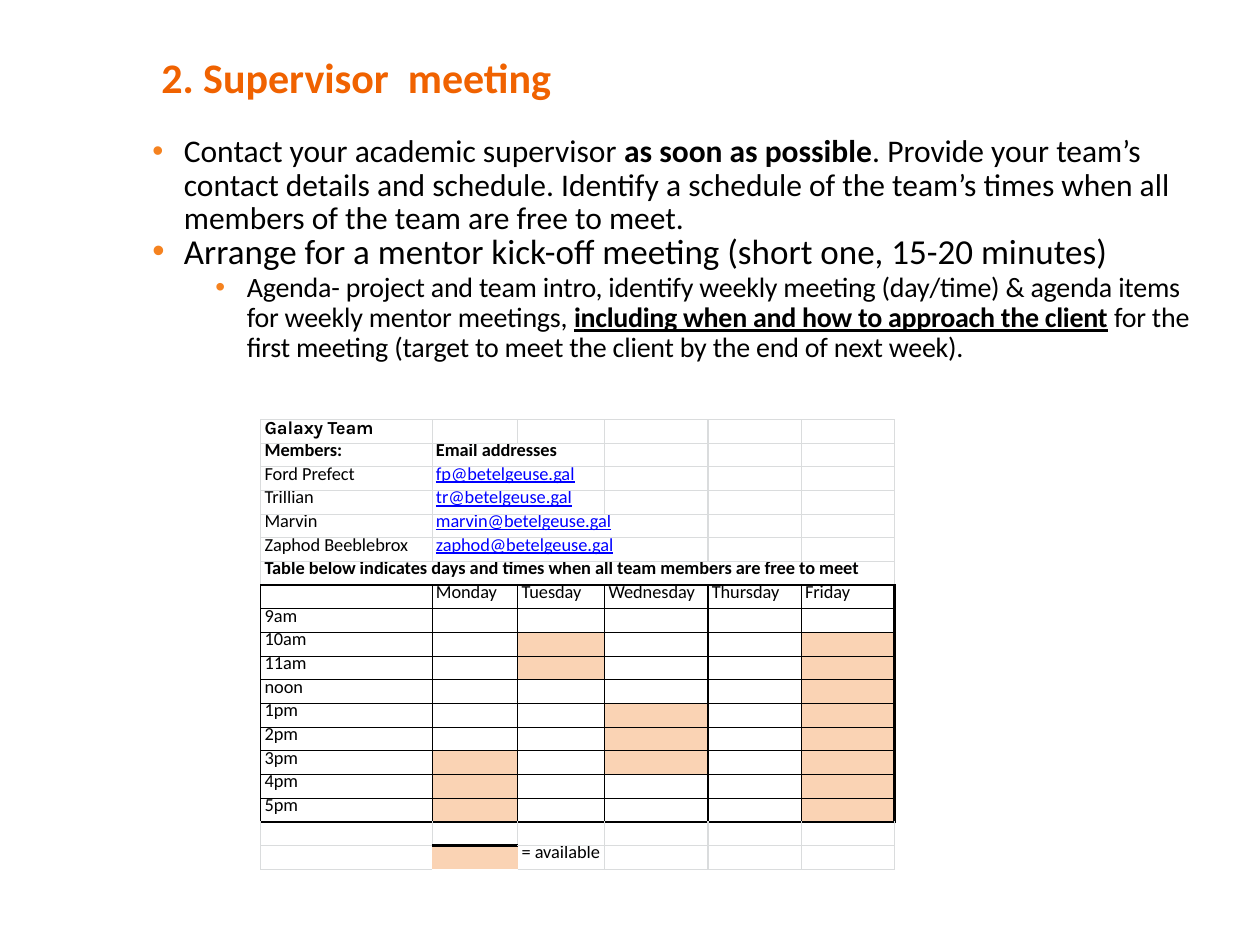
from lxml import etree
from pptx import Presentation
from pptx import util as u
from pptx.dml.color import RGBColor
from pptx.enum import text
from pptx.oxml.ns import qn

Inches, Pt = u.Inches, u.Pt
BLACK = RGBColor(0x00, 0x00, 0x00)
ORANGE = RGBColor(0xF0, 0x62, 0x00)
BULLET = RGBColor(0xF5, 0x82, 0x1F)
BLUE = RGBColor(0x00, 0x00, 0xFF)
GRID = RGBColor(0xDA, 0xDC, 0xDD)
PEACH = RGBColor(0xFA, 0xD3, 0xB4)


def add_run(p, words, size, color=BLACK, spacing=0, **font):
    r = p.add_run()
    r.text = words
    for name, value in {"name": "Calibri", "size": Pt(size), **font}.items():
        setattr(r.font, name, value)
    r.font.color.rgb = color
    if spacing:
        r._r.get_or_add_rPr().set("spc", str(spacing))


def add_border(cell, side, color, width):
    """Draw one side (L, R, T or B) of a cell; no color means no line."""
    ln = etree.SubElement(cell._tc.get_or_add_tcPr(), qn(f"a:ln{side}"), w=str(Pt(width)))
    if color is None:
        etree.SubElement(ln, qn("a:noFill"))
    else:
        fill = etree.SubElement(ln, qn("a:solidFill"))
        etree.SubElement(fill, qn("a:srgbClr"), val=str(color))


prs = Presentation()
prs.slide_width, prs.slide_height = Inches(10), Inches(7.5)
s = prs.slides.add_slide(prs.slide_layouts[5])

# Title
title = s.shapes.title
title.left, title.top, title.width, title.height = map(Inches, (1.28, 0.39, 3.63, 0.42))
body = s.shapes.add_textbox(Inches(1.2), Inches(0.98), Inches(8.37), Inches(1.87))
for sp, inset in ((title, 0.02), (body, 0.1)):
    frame = {"margin_left": 0, "margin_right": 0, "margin_bottom": 0,
             "margin_top": Inches(inset), "word_wrap": True,
             "vertical_anchor": text.MSO_ANCHOR.TOP,
             "auto_size": text.MSO_AUTO_SIZE.SHAPE_TO_FIT_TEXT}
    for name, value in frame.items():
        setattr(sp.text_frame, name, value)
p = title.text_frame.paragraphs[0]
p.alignment = text.PP_ALIGN.LEFT
add_run(p, "2. Supervisor  meeting", 24, ORANGE, bold=True)

# Bullets: level, size, line spacing, space before, letter spacing, (words, format) pieces
bullets = [
    (0, 18, Pt(19), 0, 0, [
        ("Contact your academic supervisor ", {}),
        ("as soon as possible", {"bold": True}),
        (". Provide your team’s contact details and schedule. Identify a schedule of "
         "the team’s times when all members of the team are free to meet.", {})]),
    (0, 20, Pt(20.2), 0, 0, [
        ("Arrange for a mentor kick-off meeting (short one, 15-20 minutes)", {})]),
    (1, 16, 0.88, 1.8, -10, [
        ("Agenda- project and team intro, identify weekly meeting (day/time) & agenda "
         "items for weekly mentor meetings, ", {}),
        ("including when and how to approach the client",
         {"bold": True, "underline": True, "spacing": -15}),
        (" for the first meeting (target to meet the client by the end of next week).", {})]),
]
tf = body.text_frame
for i, (level, size, line, before, spacing, pieces) in enumerate(bullets):
    p = tf.add_paragraph() if i else tf.paragraphs[0]
    p.level, p.line_spacing, p.space_before = level, line, Pt(before)
    pPr = p._p.get_or_add_pPr()
    pPr.set("marL", str(Inches(0.26 + 0.5 * level)))
    pPr.set("indent", str(Inches(-0.25)))
    color = etree.SubElement(pPr, qn("a:buClr"))
    etree.SubElement(color, qn("a:srgbClr"), val=str(BULLET))
    etree.SubElement(pPr, qn("a:buFont"), typeface="Arial")
    etree.SubElement(pPr, qn("a:buChar"), char="•")
    for words, font in pieces:
        add_run(p, words, size, **{"spacing": spacing, **font})

# Team schedule
members = [("Ford Prefect", "fp", 2), ("Trillian", "tr", 2),
           ("Marvin", "marvin", 3), ("Zaphod Beeblebrox", "zaphod", 3)]
days = ["Monday", "Tuesday", "Wednesday", "Thursday", "Friday"]
hours = ["9am", "10am", "11am", "noon", "1pm", "2pm", "3pm", "4pm", "5pm"]
free = {"Monday": ["3pm", "4pm", "5pm"], "Tuesday": ["10am", "11am"],
        "Wednesday": ["1pm", "2pm", "3pm"], "Friday": hours[1:]}
col_widths = [1.36, 0.68, 0.69, 0.82, 0.74, 0.74]
NOTE, HEAD, LAST, LEGEND = 6, 7, 16, 18
ROWS, COLS = LEGEND + 1, len(col_widths)

bold = {"bold": True}
entries = {
    (0, 0): ("Galaxy Team", {"bold": True, "name": "Karla"}),
    (1, 0): ("Members:", bold),
    (1, 1): ("Email addresses", bold),
    (NOTE, 0): ("Table below indicates days and times when all team members are free to meet", bold),
    (LEGEND, 2): ("= available", {}),
}
spans = {(1, 1): 2, (NOTE, 0): COLS}
for row, (member, user, span) in enumerate(members, 2):
    entries[row, 0] = (member, {})
    entries[row, 1] = (f"{user}@betelgeuse.gal", {"color": BLUE, "underline": True})
    spans[row, 1] = span
for col, day in enumerate(days, 1):
    entries[HEAD, col] = (day, {})
for row, hour in enumerate(hours, HEAD + 1):
    entries[row, 0] = (hour, {})
shaded = {(HEAD + 1 + hours.index(hour), 1 + days.index(day))
          for day, day_hours in free.items() for hour in day_hours}
shaded.add((LEGEND, 1))

table = s.shapes.add_table(ROWS, COLS, Inches(2.07), Inches(3.33),
                           Inches(5.03), Inches(3.57)).table
table.first_row = table.horz_banding = False
for col, width in zip(table.columns, col_widths):
    col.width = Inches(width)
for (row, col), span in spans.items():
    table.cell(row, col).merge(table.cell(row, col + span - 1))

for row in range(ROWS):
    for col in range(COLS):
        cell = table.cell(row, col)
        if cell.is_spanned:
            continue
        timetable = HEAD <= row <= LAST
        borders = dict.fromkeys("LRTB", (BLACK if timetable else GRID, 0.75))
        if row in (HEAD, LAST + 1):
            borders["T"] = (BLACK, 1.5)
        if row in (NOTE, LAST):
            borders["B"] = (BLACK, 1.5)
        if timetable and col == COLS - 1:
            borders["R"] = (BLACK, 1.5)
        if (row, col) == (LEGEND, 1):
            borders = {**dict.fromkeys("LRB", (None, 0.75)), "T": (BLACK, 1.5)}
        elif (row, col) == (LEGEND - 1, 1):
            borders["B"] = (BLACK, 1.5)
        elif (row, col) in ((LEGEND, 0), (LEGEND, 2)):
            borders["R" if col == 0 else "L"] = (None, 0.75)
        for side in "LRTB":
            add_border(cell, side, *borders[side])
        if (row, col) in shaded:
            cell.fill.solid()
            cell.fill.fore_color.rgb = PEACH
        else:
            cell.fill.background()

        cell.margin_left = Inches(0.03)
        cell.margin_right = cell.margin_top = cell.margin_bottom = 0
        p = cell.text_frame.paragraphs[0]
        p.line_spacing = Pt(10.4 if row else 11.1)
        if (row, col) in entries:
            words, font = entries[row, col]
            add_run(p, words, 10.5, **font)
        else:
            etree.SubElement(p._p, qn("a:endParaRPr"), sz="1000")

prs.save("out.pptx")
